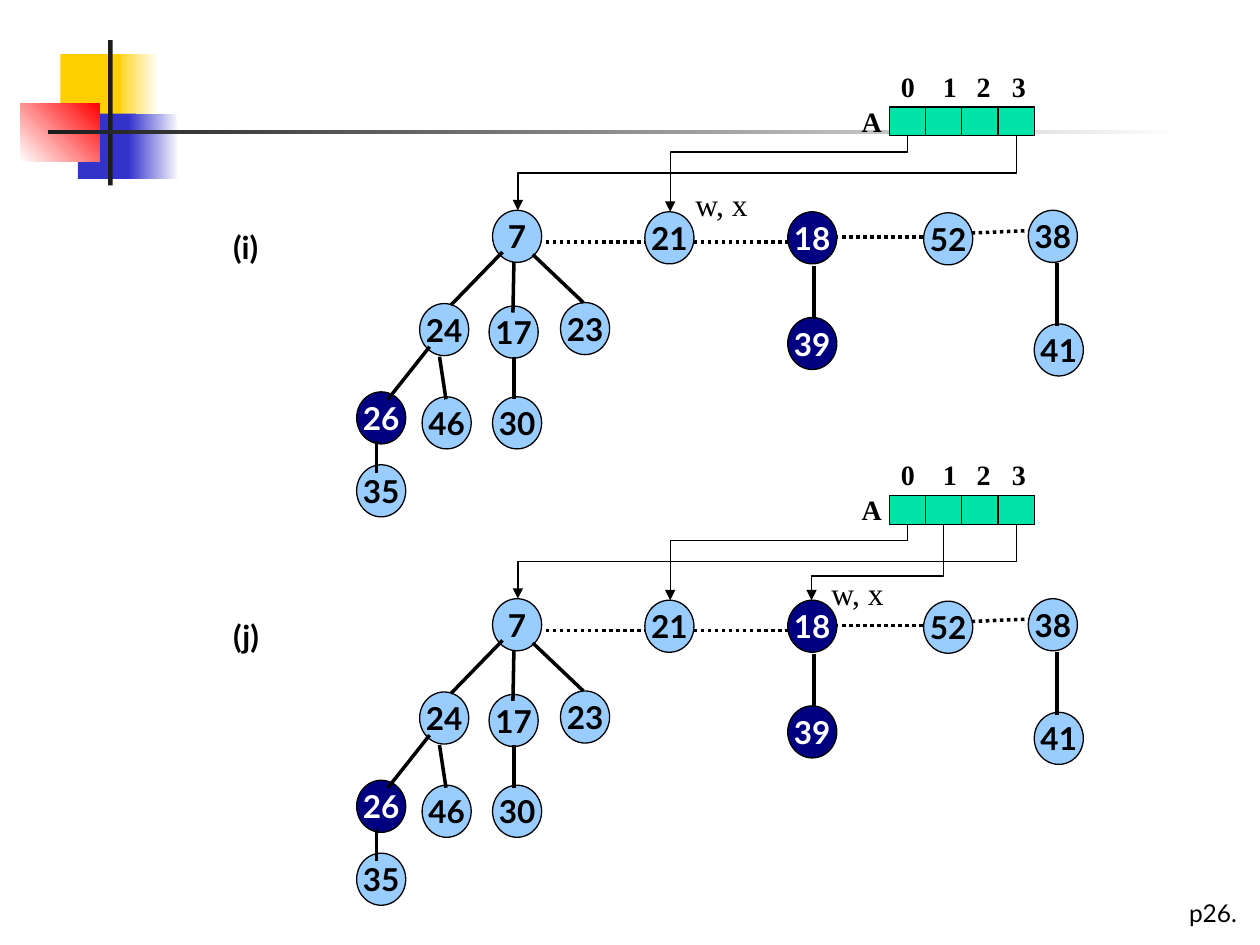
"""Build a slide showing two steps of consolidating a binomial heap."""
from pptx import Presentation
from pptx import util as u
from pptx.dml.color import RGBColor
from pptx.enum import dml, shapes, text
from pptx.oxml import parse_xml
from pptx.oxml.ns import nsdecls, qn

BLACK = RGBColor(0x00, 0x00, 0x00)
WHITE = RGBColor(0xFF, 0xFF, 0xFF)
LIGHT = RGBColor(0x99, 0xCC, 0xFF)
NAVY = RGBColor(0x00, 0x00, 0x80)
GREEN = RGBColor(0x00, 0xE4, 0xA8)
GOLD = RGBColor(0xFF, 0xCF, 0x01)
BLUE = RGBColor(0x33, 0x33, 0xCC)
RED = RGBColor(0xFF, 0x00, 0x00)
DARK = RGBColor(0x1C, 0x1C, 0x1C)
SANS, SERIF = "Lato", "Times New Roman"

DECOR = [
    ((2.29, 1.09, 0.91, 1.32), (GOLD, WHITE), 0),
    ((1.22, 1.09, 1.22, 1.32), (GOLD,), 0),
    ((1.57, 2.29, 1.17, 1.32), (BLUE,), 0),
    ((2.59, 2.29, 1.02, 1.32), (BLUE, WHITE), 0),
    ((0.41, 2.08, 1.6, 1.18), (WHITE, RED), 45),
    ((2.18, 0.81, 0.09, 2.93), (DARK,), 0),
    ((0.97, 2.63, 22.86, 0.08), (DARK, WHITE), 0),
]
NODES = {
    "7": (9.93, 4.24), "21": (13, 4.27), "18": (15.88, 4.27),
    "52": (18.62, 4.29), "38": (20.73, 4.24), "24": (8.46, 6.12),
    "17": (9.86, 6.17), "23": (11.3, 6.1), "39": (15.88, 6.4),
    "41": (20.85, 6.53), "26": (7.19, 7.9), "46": (8.51, 8),
    "30": (9.93, 8), "35": (7.19, 9.37),
}
MARKED = {"18", "39", "26"}
ROOTS = [
    (11, 4.88, 16.08, 4.88), (15.98, 4.78, 19.33, 4.78),
    (19.02, 4.72, 20.73, 4.65),
]
EDGES = [
    (16.41, 5.36, 16.41, 6.43), (21.31, 5.31, 21.31, 6.58),
    (10.36, 7.19, 10.36, 8.05), (8.66, 6.99, 7.82, 8.05),
    (8.86, 7.19, 8.99, 8.05), (7.59, 8.89, 7.59, 9.53),
    (10.36, 5.28, 10.34, 6.3), (10.74, 5.13, 11.76, 6.1),
    (10.13, 5.08, 9.09, 6.15),
]
LINKS = [(3, 10.44, 4.24, 50000), (0, 13.51, 4.27, 21400), (1, 16.36, 4.27, 68100)]
STEPS = [("(i)", 13.77, LINKS[:2]), ("(j)", 16.51, LINKS)]
STEP = 7.83
NODE_W, NODE_H = 0.99, 1.05
CELL_X, CELL_Y, CELL_W, CELL_H = 17.93, 2.16, 0.73, 0.58
TABS = (0.85, 1.53, 2.24)


def style(frame, face, size, bold, ink):
    for run in frame.paragraphs[0].runs:
        font = run.font
        font.name, font.size, font.bold = face, u.Pt(size), bold
        font.color.rgb = ink


def label(slide, words, box, face, size, bold=True, tabs=()):
    frame = slide.shapes.add_textbox(*map(u.Cm, box)).text_frame
    frame.word_wrap = bool(tabs)
    frame.text = words
    if tabs:
        stops = "".join(f'<a:tab pos="{u.Cm(t)}" algn="l"/>' for t in tabs)
        props = frame.paragraphs[0]._p.get_or_add_pPr()
        props.append(parse_xml(f'<a:tabLst {nsdecls("a")}>{stops}</a:tabLst>'))
    style(frame, face, size, bold, BLACK)


def block(slide, kind, box, fill, edge=True):
    shape = slide.shapes.add_shape(kind, *map(u.Cm, box))
    shape.shadow.inherit = False
    shape.fill.solid()
    shape.fill.fore_color.rgb = fill
    if edge:
        shape.line.color.rgb = BLACK
        shape.line.width = u.Pt(0.75)
    else:
        shape.line.fill.background()
    return shape


def wire(slide, ends, width=2, kind=shapes.MSO_CONNECTOR.STRAIGHT):
    line = slide.shapes.add_connector(kind, *map(u.Cm, ends))
    line.line.color.rgb = BLACK
    line.line.width = u.Pt(width)
    line._element.spPr.append(parse_xml(f'<a:effectLst {nsdecls("a")}/>'))
    return line


def link(slide, start, end, bend):
    (x1, y1), (x2, y2) = start, end
    run, drop = x1 - x2, y2 - y1
    mid_x, mid_y = (x1 + x2) / 2, (y1 + y2) / 2
    ends = (mid_x - drop / 2, mid_y - run / 2, mid_x + drop / 2, mid_y + run / 2)
    line = wire(slide, ends, 0.75, shapes.MSO_CONNECTOR.ELBOW)
    props = line._element.spPr
    props.find(qn("a:xfrm")).set("rot", "5400000")
    guide = f'<a:gd {nsdecls("a")} name="adj1" fmla="val {bend}"/>'
    props.find(qn("a:prstGeom")).find(qn("a:avLst")).append(parse_xml(guide))
    head = f'<a:tailEnd {nsdecls("a")} type="triangle"/>'
    line.line._get_or_add_ln().append(parse_xml(head))


def decor(slide):
    for box, hues, angle in DECOR:
        shape = block(slide, shapes.MSO_SHAPE.RECTANGLE, box, hues[0], edge=False)
        if len(hues) > 1:
            shape.fill.gradient()
            shape.fill.gradient_angle = angle
            for stop, hue in zip(shape.fill.gradient_stops, hues):
                stop.color.rgb = hue


def node(slide, key, x, y):
    dark = key in MARKED
    box = (x, y, NODE_W, NODE_H)
    shape = block(slide, shapes.MSO_SHAPE.OVAL, box, NAVY if dark else LIGHT)
    frame = shape.text_frame
    frame.word_wrap = False
    frame.vertical_anchor = text.MSO_ANCHOR.MIDDLE
    frame.text = key
    frame.paragraphs[0].alignment = text.PP_ALIGN.CENTER
    style(frame, SANS, 18, True, WHITE if dark else BLACK)


def heap(slide, name, mark_x, links, dy):
    label(slide, "0\t1\t2\t3", (17.91, 1.27 + dy, 3.3, 0.94), SERIF, 16, tabs=TABS)
    label(slide, "A", (17.12, 1.98 + dy, 0.91, 0.94), SERIF, 16)
    label(slide, name, (4.45, 4.48 + dy, 1.3, 1.02), SANS, 18)
    for i in range(4):
        box = (CELL_X + i * CELL_W, CELL_Y + dy, CELL_W, CELL_H)
        block(slide, shapes.MSO_SHAPE.RECTANGLE, box, GREEN)
    for x1, y1, x2, y2 in ROOTS:
        line = wire(slide, (x1, y1 + dy, x2, y2 + dy))
        line.line.dash_style = dml.MSO_LINE.ROUND_DOT
    for key, (x, y) in NODES.items():
        node(slide, key, x, y + dy)
    for x1, y1, x2, y2 in EDGES:
        wire(slide, (x1, y1 + dy, x2, y2 + dy))
    label(slide, "w, x", (mark_x, 3.61 + dy, 1.6, 1.02), SERIF, 18, bold=False)
    for i, x, y, bend in links:
        start = (CELL_X + (i + 0.5) * CELL_W, CELL_Y + CELL_H + dy)
        link(slide, start, (x, y + dy), bend)


def main():
    deck = Presentation()
    deck.slide_width, deck.slide_height = u.Cm(25.4), u.Cm(19.05)
    slide = deck.slides.add_slide(deck.slide_layouts[6])
    decor(slide)
    label(slide, "p26.", (23.72, 17.98, 1.68, 0.84), SANS, 14, bold=False)
    for i, (name, mark_x, links) in enumerate(STEPS):
        heap(slide, name, mark_x, links, i * STEP)
    deck.save("out.pptx")


if __name__ == "__main__":
    main()
